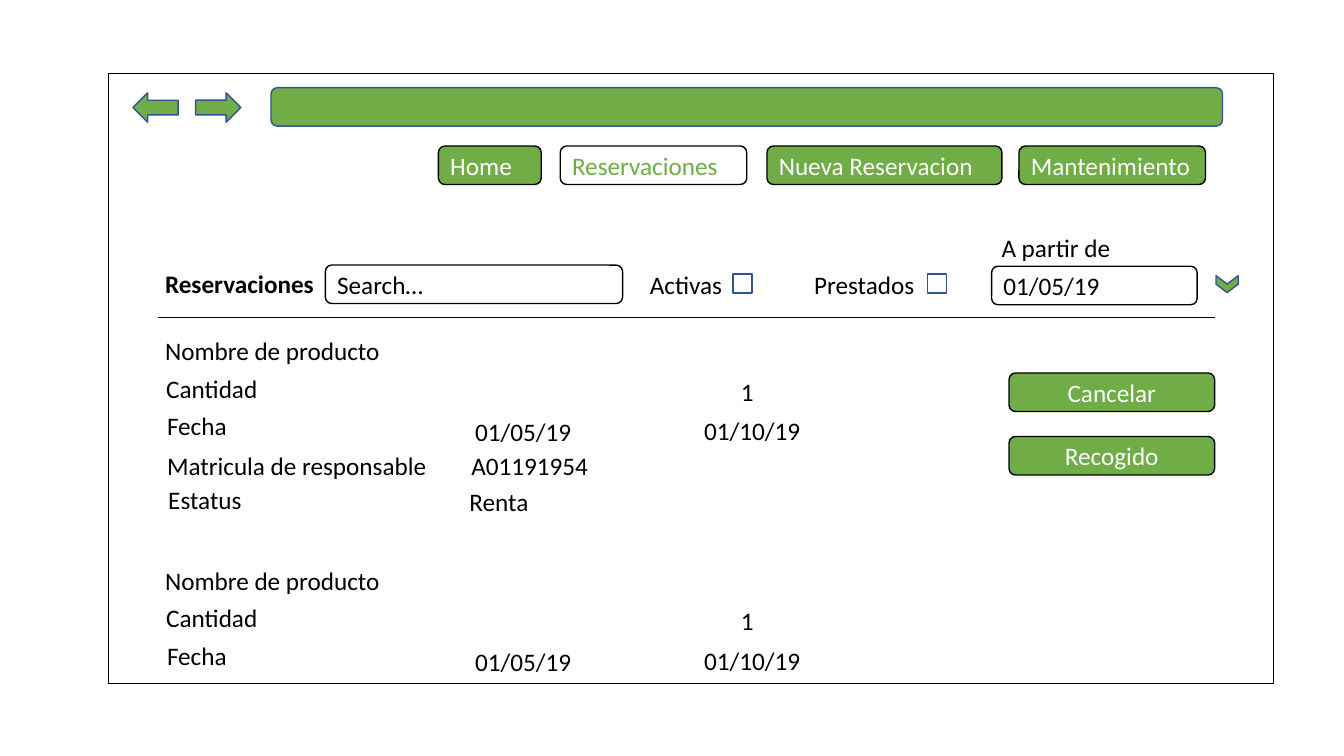
from pptx import Presentation
from pptx.dml.color import RGBColor
from pptx.enum import shapes as s, text as t
from pptx.oxml import ns, xmlchemy
from pptx.util import Cm, Pt

GREEN = RGBColor(0x70, 0xAD, 0x47)
BLUE = RGBColor(0x32, 0x54, 0x91)
BLACK = RGBColor(0, 0, 0)
WHITE = RGBColor(255, 255, 255)

ROUND = s.MSO_SHAPE.ROUNDED_RECTANGLE
FIELD_HEIGHT = 0.97
FIELD_WIDTH = 5.18
RESERVATION_STEP = 5.79


def write(frame, words, color=BLACK, bold=False, align=t.PP_ALIGN.LEFT):
    frame.text = words
    paragraph = frame.paragraphs[0]
    paragraph.alignment = align
    font = paragraph.runs[0].font
    font.name, font.size, font.bold = "Calibri", Pt(18), bold
    font.color.rgb = color


def add_box(slide, kind, left, top, width, height, fill=GREEN, line=BLUE, rotation=0):
    box = slide.shapes.add_shape(kind, Cm(left), Cm(top), Cm(width), Cm(height))
    box.shadow.inherit = False
    box.rotation = rotation
    box.fill.solid()
    box.fill.fore_color.rgb = fill
    if line is None:
        box.line.fill.background()
    else:
        box.line.color.rgb = line
        box.line.width = Pt(1)
    return box


def add_field(slide, words, left, top, width=FIELD_WIDTH, fill=WHITE, line=None,
              color=BLACK, align=t.PP_ALIGN.LEFT):
    field = add_box(slide, ROUND, left, top, width, FIELD_HEIGHT, fill, line)
    field.text_frame.vertical_anchor = t.MSO_ANCHOR.MIDDLE
    write(field.text_frame, words, color, align=align)


def add_label(slide, words, left, top, width, bold=False, wrap=False):
    label = slide.shapes.add_textbox(Cm(left), Cm(top), Cm(width), Cm(1.03))
    label.text_frame.word_wrap = wrap
    label.text_frame.auto_size = t.MSO_AUTO_SIZE.SHAPE_TO_FIT_TEXT
    write(label.text_frame, words, bold=bold)


def add_divider(slide, left, right, top):
    divider = slide.shapes.add_connector(
        s.MSO_CONNECTOR.STRAIGHT, Cm(left), Cm(top), Cm(right), Cm(top))
    divider.line.color.rgb = BLACK
    divider.line.width = Pt(0.5)
    effects = xmlchemy.OxmlElement("a:effectLst")
    divider.line._get_or_add_ln().getparent().append(effects)


def add_browser(slide):
    add_box(slide, s.MSO_SHAPE.RECTANGLE, 2.74, 1.85, 29.36, 15.37, WHITE, BLACK)
    for left, rotation in ((4.93, 0), (3.35, 180)):
        add_box(slide, s.MSO_SHAPE.RIGHT_ARROW, left, 2.34, 1.14, 0.74, rotation=rotation)
    add_box(slide, ROUND, 6.83, 2.21, 23.98, FIELD_HEIGHT)


def add_menu(slide, current):
    tabs = (("Home", 11.05, 2.59), ("Reservaciones", 14.12, 4.7),
            ("Nueva Reservacion", 19.33, 5.92), ("Mantenimiento", 25.68, 4.7))
    for words, left, width in tabs:
        fill, color = (WHITE, GREEN) if words == current else (GREEN, WHITE)
        add_field(slide, words, left, 3.68, width, fill, BLACK, color)


def add_filters(slide):
    add_label(slide, "Reservaciones", 3.91, 6.63, 4.27, bold=True, wrap=True)
    add_field(slide, "Search…", 8.2, 6.68, 7.49, line=BLACK)
    for words, left, check_left in (("Activas", 16.08, 18.47), ("Prestados", 20.22, 23.37)):
        add_field(slide, words, left, 6.68, 4.27)
        add_box(slide, s.MSO_SHAPE.RECTANGLE, check_left, 6.91, 0.48, 0.48, WHITE)
    add_label(slide, "A partir de", 24.99, 5.72, 3.43)
    add_field(slide, "01/05/19", 24.99, 6.71, line=BLACK)
    add_box(slide, s.MSO_SHAPE.CHEVRON, 30.71, 6.88, 0.43, 0.56, rotation=90)
    add_divider(slide, 3.99, 30.61, 8)


def add_reservation(slide, top):
    add_label(slide, "Nombre de producto", 3.91, top, 5.99)
    add_label(slide, "Cantidad", 3.94, top + 0.94, 2.84)
    add_label(slide, "1", 18.42, top + 1.02, 0.84)
    add_label(slide, "Fecha", 3.96, top + 1.88, 2.03)
    add_field(slide, "01/05/19", 11.68, top + 2.06)
    add_field(slide, "01/10/19", 17.45, top + 2.03)


def add_details(slide):
    add_label(slide, "Matricula de responsable", 3.96, 11.23, 7.11)
    add_field(slide, "A01191954", 11.58, 11.25)
    add_label(slide, "Estatus", 3.99, 12.09, 2.39)
    add_label(slide, "Renta", 11.58, 12.12, 2.01)
    for words, top in (("Cancelar", 9.4), ("Recogido", 11)):
        add_field(slide, words, 25.43, top, fill=GREEN, line=BLACK, color=WHITE,
                  align=t.PP_ALIGN.CENTER)


def main():
    deck = Presentation()
    deck.slide_width, deck.slide_height = Cm(33.87), Cm(19.05)
    slide = deck.slides.add_slide(deck.slide_layouts[6])

    # Window frame and navigation
    add_browser(slide)
    add_menu(slide, current="Reservaciones")

    # Search row
    add_filters(slide)

    # List of reservations, the first one with its details
    for index in range(2):
        add_reservation(slide, 8.33 + index * RESERVATION_STEP)
    add_details(slide)

    deck.save("out.pptx")


if __name__ == "__main__":
    main()
